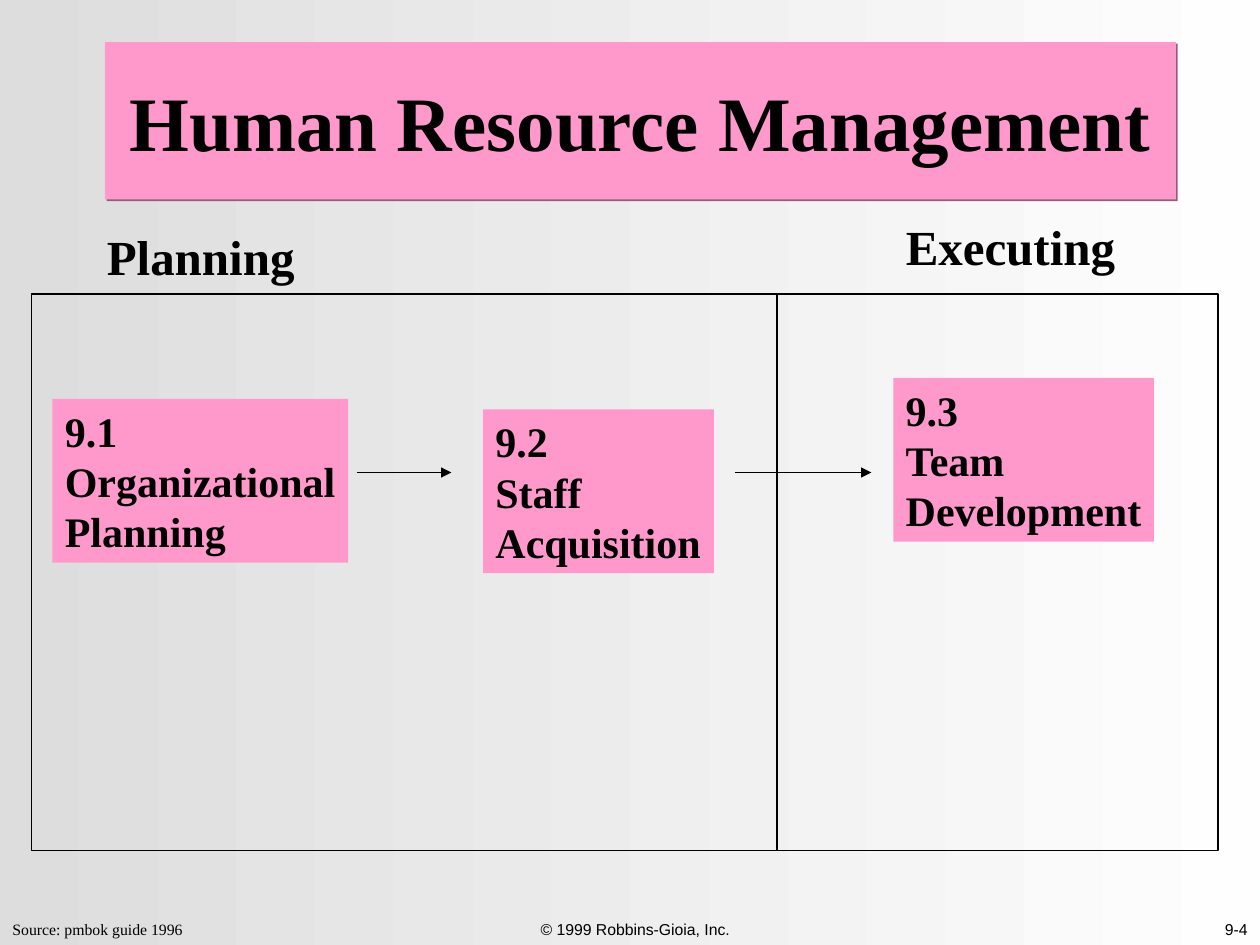
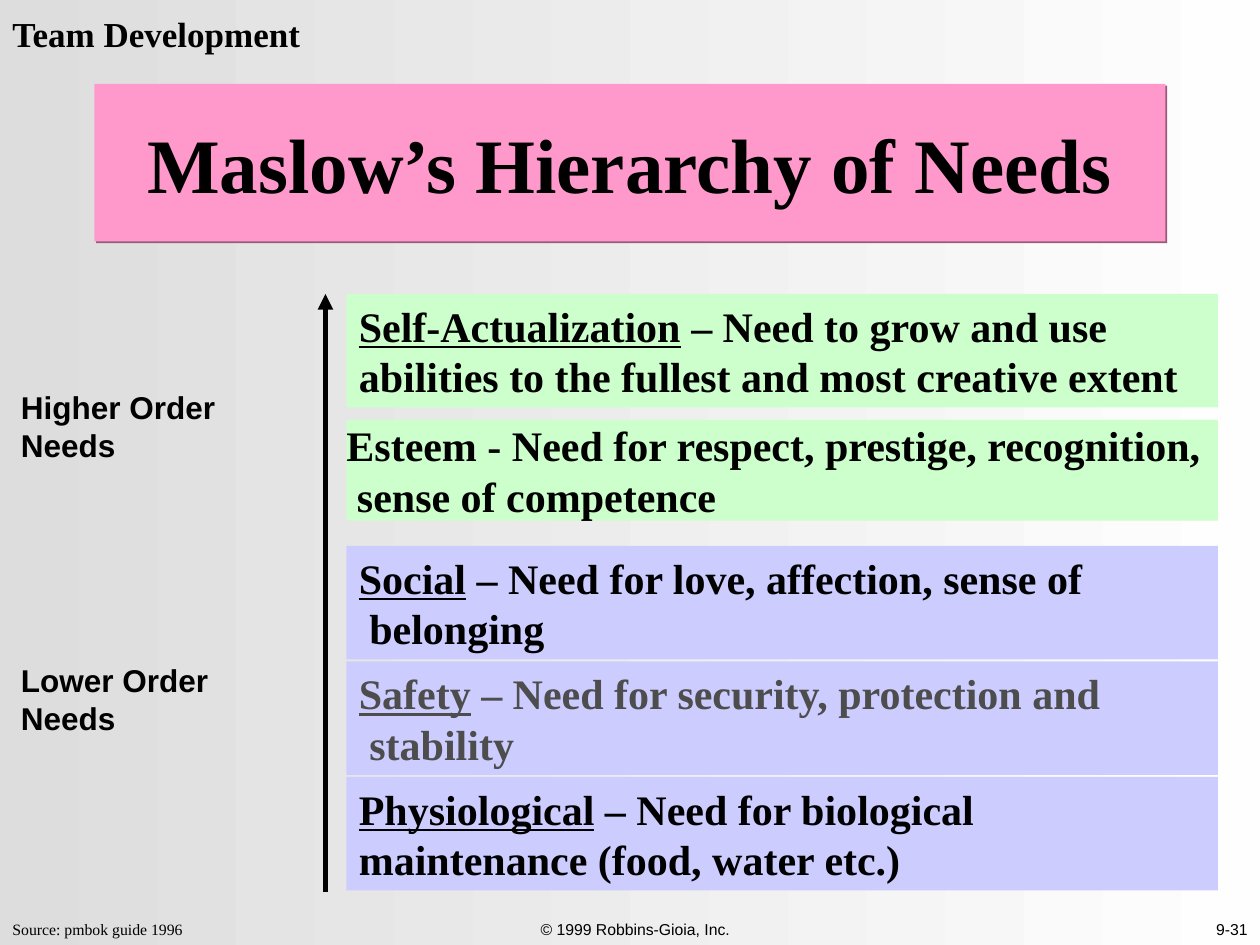
from lxml import etree
from pptx import Presentation
from pptx.dml.color import RGBColor
from pptx.enum.shapes import MSO_CONNECTOR, MSO_SHAPE
from pptx.enum.text import MSO_ANCHOR, MSO_AUTO_SIZE, PP_ALIGN
from pptx.oxml.ns import qn
from pptx.util import Pt

RECT, STRAIGHT = MSO_SHAPE.RECTANGLE, MSO_CONNECTOR.STRAIGHT
TOP, MIDDLE, BOTTOM = MSO_ANCHOR.TOP, MSO_ANCHOR.MIDDLE, MSO_ANCHOR.BOTTOM
LEFT, CENTER, RIGHT = PP_ALIGN.LEFT, PP_ALIGN.CENTER, PP_ALIGN.RIGHT
FIT, FIXED = MSO_AUTO_SIZE.SHAPE_TO_FIT_TEXT, MSO_AUTO_SIZE.NONE

SERIF, SANS = "Times New Roman", "Arial"
COLORS = {
    "ink": "000000",
    "muted": "4D4D4D",
    "pink": "FF99CC",
    "pink_shadow": "985B79",
    "higher": "CCFFCC",
    "lower": "CCCCFF",
    "bg_dark": "DDDDDD",
    "bg_light": "FEFEFE",
}


def rgb(name):
    return RGBColor.from_string(COLORS[name])


# --- Basic parts ---
def add_text(sp, paragraphs, size=24, font=SERIF, color="ink", bold=True,
             align=LEFT, anchor=TOP, inset=(7.2, 3.6), wrap=True, fit=True,
             hang=0):
    """Each paragraph is a list of (text, underline); hang indents all but the first."""
    tf = sp.text_frame
    tf.word_wrap = wrap
    tf.auto_size = FIT if fit else FIXED
    tf.vertical_anchor = anchor
    tf.margin_left = tf.margin_right = Pt(inset[0])
    tf.margin_top = tf.margin_bottom = Pt(inset[1])
    for i, runs in enumerate(paragraphs):
        p = tf.add_paragraph() if i else tf.paragraphs[0]
        p.alignment = align
        if i and hang:
            p._p.get_or_add_pPr().set("marL", str(Pt(hang)))
        for text, underline in runs:
            r = p.add_run()
            r.text = text
            r.font.name, r.font.size, r.font.bold = font, Pt(size), bold
            r.font.color.rgb = rgb(color)
            if underline:
                r.font.underline = True


def add_label(slide, box, text, **fmt):
    sp = slide.shapes.add_textbox(*map(Pt, box))
    add_text(sp, [[(text, False)]], **fmt)


def add_box(slide, box, fill=None):
    sp = slide.shapes.add_shape(RECT, *map(Pt, box))
    sp.shadow.inherit = False
    if fill:
        sp.fill.solid()
        sp.fill.fore_color.rgb = rgb(fill)
        sp.line.fill.background()
    else:
        sp.fill.background()
        sp.line.color.rgb = rgb("ink")
        sp.line.width = Pt(0.75)
    return sp


def add_line(slide, x1, y1, x2, y2, width=0.75, arrow=True):
    line = slide.shapes.add_connector(STRAIGHT, Pt(x1), Pt(y1), Pt(x2), Pt(y2))
    line.line.color.rgb = rgb("ink")
    line.line.width = Pt(width)
    if arrow:
        etree.SubElement(line.line._get_or_add_ln(), qn("a:tailEnd"), type="triangle")
    etree.SubElement(line._element.spPr, qn("a:effectLst"))


# --- Shared slide frame ---
def add_footer(slide, box, page):
    x, y, w, h = box
    add_label(slide, (x, y + 18, 112, 18), "Source: pmbok guide 1996",
              size=9, bold=False, wrap=False)
    for left, text, align in ((246, "© 1999 Robbins-Gioia, Inc.", CENTER),
                              (w - 234, page, RIGHT)):
        add_label(slide, (x + left, y, 234, h), text, size=9, font=SANS,
                  bold=False, align=align, anchor=BOTTOM, fit=False)


def add_title(slide, x, y, text):
    sp = add_box(slide, (x, y, 612, 90), "pink")
    shadow = etree.SubElement(sp._element.spPr.find(qn("a:effectLst")),
                              qn("a:outerShdw"), dist=str(Pt(1.4)),
                              dir="2700000", algn="ctr", rotWithShape="0")
    etree.SubElement(shadow, qn("a:srgbClr"), val=COLORS["pink_shadow"])
    add_text(sp, [[(text, False)]], size=44, align=CENTER, anchor=MIDDLE, fit=False)


def new_slide(prs, title, title_at, page):
    slide = prs.slides.add_slide(prs.slide_layouts[6])
    fill = slide.background.fill
    fill.gradient()
    fill.gradient_angle = 0
    for stop, name in zip(fill.gradient_stops, ("bg_dark", "bg_light")):
        stop.color.rgb = rgb(name)
    add_footer(slide, (0, 504, 720, 36), page)
    add_title(slide, *title_at, title)
    return slide


# --- Process map: phases and their steps ---
def add_process_map(slide, box):
    x, y, w, h = box
    add_box(slide, box)
    add_line(slide, x + 426, y, x + 426, y + h, arrow=False)

    # Phase headings above the frame
    for dx, dy, width, phase in ((36, -42, 122, "Planning"),
                                 (492.5, -48, 134, "Executing")):
        add_label(slide, (x + dx, y + dy, width, 41), phase, size=28, wrap=False)

    # Steps
    steps = [(12, 60, 169, ("9.1", "Organizational", "Planning")),
             (258, 66, 132, ("9.2", "Staff", "Acquisition")),
             (492.5, 48, 149, ("9.3", "Team", "Development"))]
    for dx, dy, width, lines in steps:
        sp = add_box(slide, (x + dx, y + dy, width, 93.6), "pink")
        add_text(sp, [[(line, False)] for line in lines], wrap=False)

    # Arrows between steps
    for start, end in ((186, 240), (402, 480)):
        add_line(slide, x + start, y + 102, x + end, y + 102)


# --- Needs: stacked bands beside a rising arrow ---
def add_needs(slide, box):
    x, y, w, h = box
    band_x, band_w = x + 186, w - 186
    band_h, pitch = 64.8, 66
    lower_y = y + 144
    bands = [
        (y, "higher", "ink",
         [[("Self-Actualization", True),
           (" – Need to grow and use abilities to the fullest and most creative extent", False)]]),
        (lower_y, "lower", "ink",
         [[("Social", True), (" – Need for love, affection, sense of", False)],
          [("belonging", False)]]),
        (lower_y + pitch, "lower", "muted",
         [[("Safety", True), (" – Need for security, protection and", False)],
          [("stability", False)]]),
        (lower_y + 2 * pitch, "lower", "ink",
         [[("Physiological", True),
           (" – Need for biological maintenance (food, water etc.)", False)]]),
    ]
    for top, fill, color, paragraphs in bands:
        sp = add_box(slide, (band_x, top, band_w, band_h), fill)
        add_text(sp, paragraphs, color=color, hang=6)

    # Esteem band has no margins
    sp = add_box(slide, (band_x, y + 72, band_w, 57.6), "higher")
    add_text(sp, [[("Esteem - Need for respect, prestige, recognition,", False)],
                  [("sense of competence", False)]], inset=(0, 0), hang=6)

    add_line(slide, x + 174, y + h, x + 174, y, width=3)
    for dy, width, text in ((54, 170, "Higher Order Needs"),
                            (210, 166, "Lower Order Needs")):
        add_label(slide, (x, y + dy, width, 21.6), text, size=18, font=SANS,
                  inset=(0, 0), wrap=False)


def main():
    prs = Presentation()
    prs.slide_width, prs.slide_height = Pt(720), Pt(540)

    slide = new_slide(prs, "Human Resource Management", (60, 24), "9-4")
    add_process_map(slide, (18, 168, 678, 318))

    slide = new_slide(prs, "Maslow’s Hierarchy of Needs", (54, 48), "9-31")
    add_label(slide, (0, 3.6, 181, 31.5), "Team Development", size=20, wrap=False)
    add_needs(slide, (12, 168, 684, 342))

    prs.save("out.pptx")


if __name__ == "__main__":
    main()
